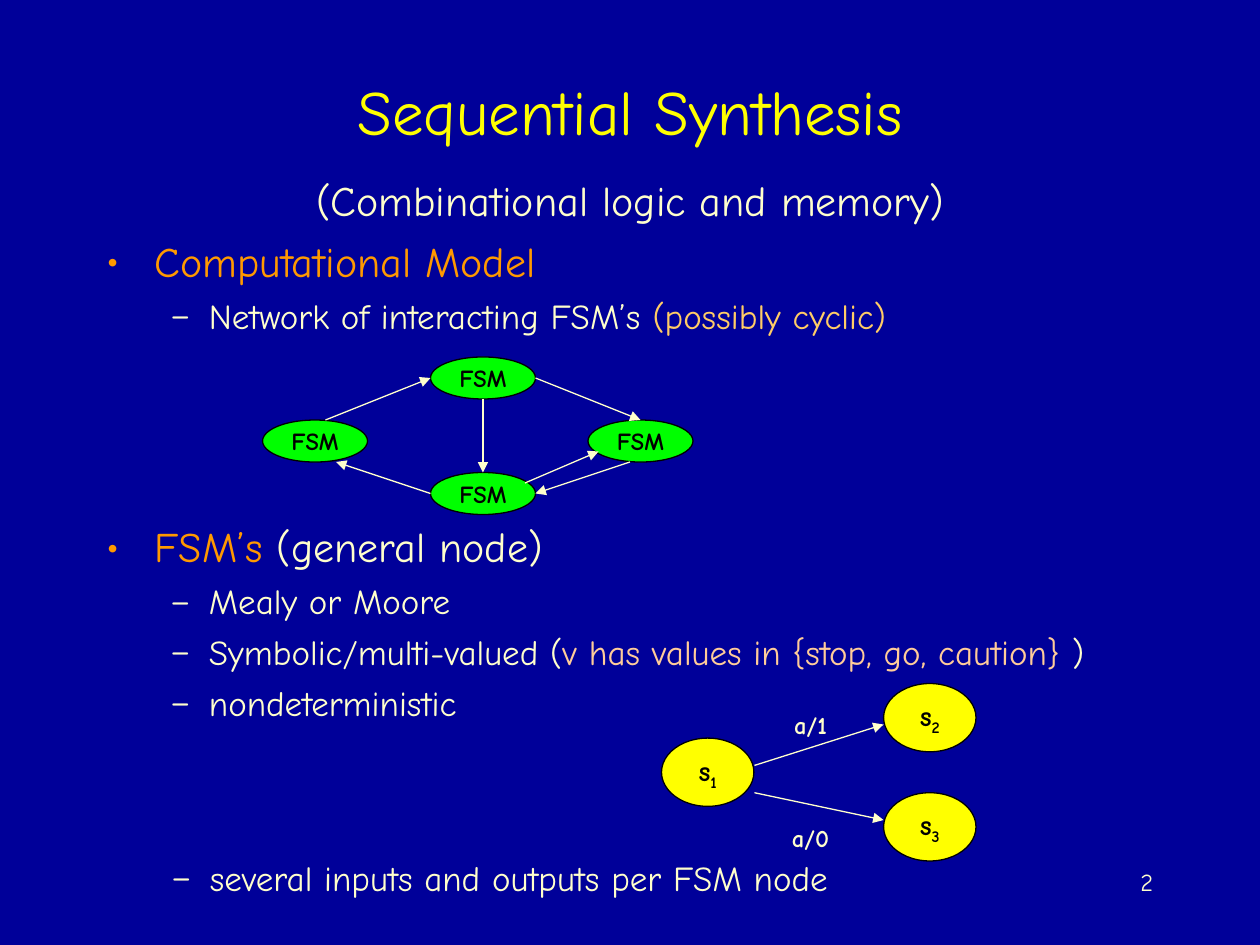
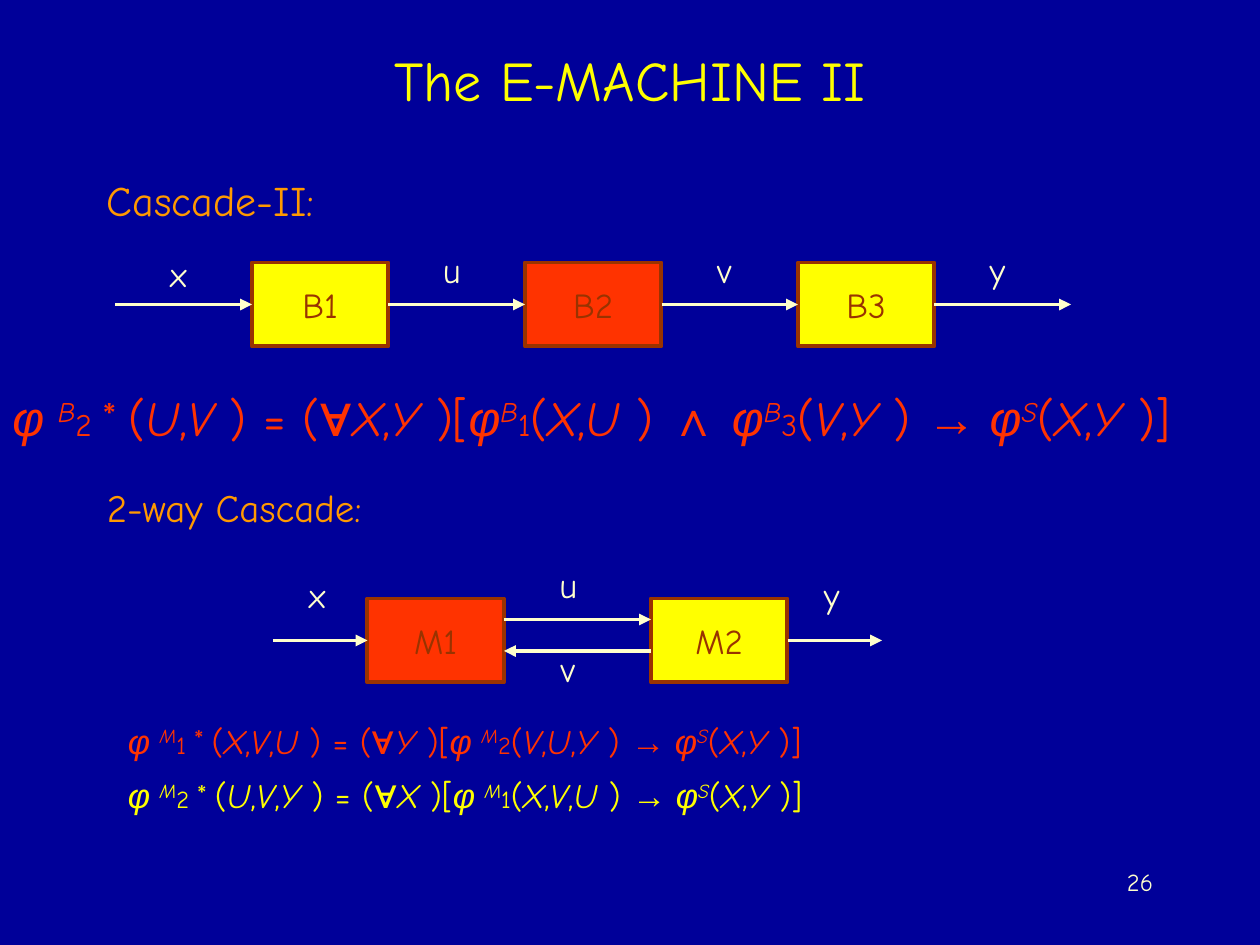
from dataclasses import dataclass
from itertools import groupby
from typing import NamedTuple, Optional, Union

from lxml.etree import SubElement
from pptx import Presentation
from pptx.dml.color import RGBColor
from pptx.enum.shapes import MSO_CONNECTOR as Connector, MSO_SHAPE as Preset
from pptx.enum.text import MSO_ANCHOR as Anchor, PP_ALIGN as Align
from pptx.oxml.ns import qn
from pptx.shapes.shapetree import GroupShapes, SlideShapes
from pptx.slide import Slide
from pptx.text.text import TextFrame
from pptx.util import Inches, Pt

NAVY = RGBColor(0x00, 0x00, 0x99)
YELLOW = RGBColor(0xFF, 0xFF, 0x00)
CREAM = RGBColor(0xFF, 0xFF, 0xCC)
ORANGE = RGBColor(0xFF, 0x99, 0x00)
GOLD = RGBColor(0xFF, 0xCC, 0x66)
PEACH = RGBColor(0xFF, 0xCC, 0x99)
RED = RGBColor(0xFF, 0x33, 0x00)
BROWN = RGBColor(0x99, 0x33, 0x00)
GREEN = RGBColor(0x00, 0xFF, 0x00)
BLACK = RGBColor(0x00, 0x00, 0x00)

TEXT_FONT = "Comic Neue"
SYMBOL_FONT = "Arial"
SYMBOLS = "φ∗∀∧→"
WIDTH, HEIGHT = Inches(10), Inches(7.5)
COLUMNS, ROWS = 120, 90

Shapes = Union[SlideShapes, GroupShapes]


class Point(NamedTuple):
    column: float
    row: float


class Box(NamedTuple):
    column: float
    row: float
    columns: float
    rows: float


@dataclass(frozen=True)
class Span:
    text: str
    size: float
    color: RGBColor = CREAM
    font: str = TEXT_FONT
    bold: bool = False
    italic: bool = False
    baseline: int = 0


@dataclass(frozen=True)
class Line:
    spans: list[Span]
    before: float = 0
    align: Align = Align.LEFT
    margin: float = 0
    hanging: float = 0
    bullet: str = ""
    bullet_color: RGBColor = CREAM
    spacing: Optional[float] = None


@dataclass(frozen=True)
class Node:
    preset: Preset
    fill: RGBColor
    outline: RGBColor
    weight: float
    columns: float
    rows: float


@dataclass(frozen=True)
class FormulaSize:
    base: float
    index: float
    star: float
    quantifier: float


FSM_NODE = Node(Preset.OVAL, GREEN, BLACK, 0.75, 10, 4)
STATE_NODE = Node(Preset.OVAL, YELLOW, BLACK, 0.75, 8.8, 6.5)
KNOWN_BLOCK = Node(Preset.RECTANGLE, YELLOW, BROWN, 2.25, 13, 8)
UNKNOWN_BLOCK = Node(Preset.RECTANGLE, RED, BROWN, 2.25, 13, 8)
LARGE_FORMULA = FormulaSize(28, 18, 36, 32)
SMALL_FORMULA = FormulaSize(19.6, 14, 25.2, 22.4)


def across(columns: float) -> int:
    return round(WIDTH * columns / COLUMNS)


def down(rows: float) -> int:
    return round(HEIGHT * rows / ROWS)


def place(box: Box) -> tuple[int, int, int, int]:
    return across(box.column), down(box.row), across(box.columns), down(box.rows)


def write(frame: TextFrame, lines: list[Line]) -> None:
    for number, line in enumerate(lines):
        paragraph = frame.add_paragraph() if number else frame.paragraphs[0]
        paragraph.alignment = line.align
        paragraph.space_before = Pt(line.before)
        if line.spacing:
            paragraph.line_spacing = line.spacing
        properties = paragraph._p.get_or_add_pPr()
        properties.set("marL", str(Inches(line.margin)))
        properties.set("indent", str(-Inches(line.hanging)))
        if line.bullet:
            color = SubElement(properties, qn("a:buClr"))
            SubElement(color, qn("a:srgbClr"), val=str(line.bullet_color))
            SubElement(properties, qn("a:buFont"), typeface=TEXT_FONT)
            SubElement(properties, qn("a:buChar"), char=line.bullet)
        for span in line.spans:
            run = paragraph.add_run()
            run.text = span.text
            run.font.name = span.font
            run.font.size = Pt(span.size)
            run.font.bold = span.bold
            run.font.italic = span.italic
            run.font.color.rgb = span.color
            if span.baseline:
                run.font._element.set("baseline", str(span.baseline * 1000))


def add_text(shapes: Shapes, box: Box, lines: list[Line],
             anchor: Anchor = Anchor.TOP, wrap: bool = True) -> None:
    frame = shapes.add_textbox(*place(box)).text_frame
    frame.word_wrap = wrap
    frame.vertical_anchor = anchor
    write(frame, lines)


def add_label(shapes: Shapes, box: Box, span: Span) -> None:
    add_text(shapes, box, [Line([span], align=Align.CENTER)], Anchor.MIDDLE, wrap=False)


def add_signal(shapes: Shapes, name: str, column: float, row: float) -> None:
    add_label(shapes, Box(column, row, 4, 5.25), Span(name, 20))


def add_node(shapes: Shapes, node: Node, corner: Point, spans: list[Span]) -> None:
    shape = shapes.add_shape(node.preset, *place(Box(*corner, node.columns, node.rows)))
    shape.shadow.inherit = False
    shape.fill.solid()
    shape.fill.fore_color.rgb = node.fill
    shape.line.color.rgb = node.outline
    shape.line.width = Pt(node.weight)
    shape.text_frame.word_wrap = False
    shape.text_frame.vertical_anchor = Anchor.MIDDLE
    write(shape.text_frame, [Line(spans, align=Align.CENTER)])


def add_block(shapes: Shapes, node: Node, corner: Point, name: str) -> None:
    add_node(shapes, node, corner, [Span(name, 20, BROWN)])


def add_arrow(shapes: Shapes, start: Point, end: Point, weight: float) -> None:
    connector = shapes.add_connector(
        Connector.STRAIGHT, across(start.column), down(start.row), across(end.column), down(end.row))
    connector.line.color.rgb = CREAM
    connector.line.width = Pt(weight)
    SubElement(connector.line._get_or_add_ln(), qn("a:tailEnd"), type="triangle")
    SubElement(connector._element.spPr, qn("a:effectLst"))


def formula(source: str, sizes: FormulaSize, color: RGBColor) -> list[Span]:
    """Reads ^ as superscript and _ as a small index; capitals are italic."""
    styled = []
    mark = ""
    for character in source:
        if character in "^_":
            mark = character
            continue
        if character == " ":
            style = styled[-1][0]
        else:
            size = {"∗": sizes.star, "∀": sizes.quantifier}.get(character, sizes.base)
            style = (
                sizes.index if mark == "_" else size,
                SYMBOL_FONT if character in SYMBOLS else TEXT_FONT,
                character == "φ" or character.isupper(),
                30 if mark == "^" or character == "∗" else 0,
            )
        styled.append((style, character))
        mark = ""
    return [
        Span("".join(character for _, character in group), size, color, font,
             italic=italic, baseline=baseline)
        for (size, font, italic, baseline), group in groupby(styled, key=lambda item: item[0])
    ]


def topic(*spans: Span) -> Line:
    return Line(list(spans), 6, margin=0.38, hanging=0.38, bullet="•", bullet_color=ORANGE)


def detail(*spans: Span) -> Line:
    return Line(list(spans), 5, margin=0.81, hanging=0.31, bullet="–")


def plain(spans: list[Span], before: float, spacing: Optional[float] = None,
          align: Align = Align.LEFT) -> Line:
    return Line(spans, before, align, 0.38, 0.38, spacing=spacing)


def start_slide(presentation: Presentation, title: str, row: float, size: float, number: int) -> Slide:
    slide = presentation.slides.add_slide(presentation.slide_layouts[6])
    slide.background.fill.solid()
    slide.background.fill.fore_color.rgb = NAVY
    heading = Line([Span(title, size, YELLOW)], align=Align.CENTER)
    add_text(slide.shapes, Box(9, row, 102, 15), [heading], Anchor.MIDDLE)
    add_text(slide.shapes, Box(86, 82, 25, 6), [Line([Span(str(number), 14)], align=Align.RIGHT)])
    return slide


def draw_fsm_network(shapes: Shapes) -> None:
    for corner in (Point(41, 34), Point(25, 40), Point(41, 45), Point(56, 40)):
        add_node(shapes, FSM_NODE, corner, [Span("FSM", 14, BLACK, bold=True)])
    for start, end in (
        (Point(31, 40), Point(41, 36)),
        (Point(41, 47), Point(32, 44)),
        (Point(51, 36), Point(61, 40)),
        (Point(50, 46), Point(57, 43)),
        (Point(60, 44), Point(51, 47)),
        (Point(46, 38), Point(46, 45)),
    ):
        add_arrow(shapes, start, end, 0.75)


def draw_state_graph(shapes: Shapes) -> None:
    corners = (Point(63, 70.3), Point(84.15, 65.1), Point(84.15, 75.5))
    for index, corner in enumerate(corners, 1):
        letter = Span("s", 16, BLACK, bold=True)
        subscript = Span(str(index), 16, BLACK, bold=True, baseline=-25)
        add_node(shapes, STATE_NODE, corner, [letter, subscript])
    for label, label_row, start_row, end_row in (("a/1", 67, 72.9, 69), ("a/0", 77.75, 75.5, 78.1)):
        add_arrow(shapes, Point(71.85, start_row), Point(84.15, end_row), 0.75)
        add_label(shapes, Box(73.2, label_row, 8, 4), Span(label, 14, bold=True))


def build_synthesis(presentation: Presentation) -> None:
    shapes = start_slide(presentation, "Sequential Synthesis", 3, 36, 2).shapes
    add_text(shapes, Box(9, 16, 102, 17), [
        plain([Span("(Combinational logic and memory)", 24)], 6, align=Align.CENTER),
        topic(Span("Computational Model", 24, ORANGE)),
        detail(Span("Network of interacting FSM’s ", 20), Span("(possibly cyclic)", 20, GOLD)),
    ])
    add_text(shapes, Box(9, 49, 102, 21), [
        topic(Span("FSM’s ", 24, ORANGE), Span("(general node)", 24)),
        detail(Span("Mealy or Moore", 20)),
        detail(Span("Symbolic/multi-valued (", 20),
               Span("v has values in {stop, go, caution}", 20, PEACH), Span(" )", 20)),
        detail(Span("nondeterministic", 20)),
    ])
    add_text(shapes, Box(9.1, 81, 102, 6), [detail(Span("several inputs and outputs per FSM node", 20))])
    draw_state_graph(shapes.add_group_shape().shapes)
    draw_fsm_network(shapes.add_group_shape().shapes)


def draw_cascade(shapes: Shapes) -> None:
    step = 26
    for index, node in enumerate((KNOWN_BLOCK, UNKNOWN_BLOCK, KNOWN_BLOCK)):
        add_block(shapes, node, Point(24 + step * index, 25), f"B{index + 1}")
    for index, (signal, row) in enumerate((("x", 23.4), ("u", 23), ("v", 23), ("y", 23))):
        start = 11 + step * index
        add_arrow(shapes, Point(start, 29), Point(start + 13, 29), 2.25)
        add_signal(shapes, signal, start + 4, row)


def draw_two_way_cascade(shapes: Shapes) -> None:
    add_block(shapes, UNKNOWN_BLOCK, Point(35, 57), "M1")
    add_block(shapes, KNOWN_BLOCK, Point(62, 57), "M2")
    for signal, start, end, row, label_column, label_row in (
        ("x", 26, 35, 61, 28.2, 54),
        ("u", 48, 62, 59, 52.1, 53),
        ("v", 62, 48, 62, 52.1, 61),
        ("y", 75, 84, 61, 77.2, 54),
    ):
        add_arrow(shapes, Point(start, row), Point(end, row), 2.25)
        add_signal(shapes, signal, label_column, label_row)


def build_e_machine(presentation: Presentation) -> None:
    shapes = start_slide(presentation, "The E-MACHINE II", 0, 32, 26).shapes
    add_text(shapes, Box(9, 16, 102, 6), [plain([Span("Cascade-II:", 24, ORANGE)], 6)])
    cascade = "φ ^B_2∗(U,V ) = (∀X,Y )[φ^B_1(X,U ) ∧ φ^B_3(V,Y ) → φ^S(X,Y )]"
    add_text(shapes, Box(0, 35, 120, 8), [plain(formula(cascade, LARGE_FORMULA, RED), 7)])
    draw_cascade(shapes)
    add_text(shapes, Box(9, 46, 102, 6), [plain([Span("2-way Cascade:", 22.2, ORANGE)], 6, 0.9)])
    add_text(shapes, Box(11, 68, 106, 12), [
        plain(formula(source, SMALL_FORMULA, color), 7, 0.8) for source, color in (
            ("φ ^M_1∗(X,V,U ) = (∀Y )[φ ^M_2(V,U,Y ) → φ^S(X,Y )]", RED),
            ("φ ^M_2∗(U,V,Y ) = (∀X )[φ ^M_1(X,V,U ) → φ^S(X,Y )]", YELLOW))
    ])
    draw_two_way_cascade(shapes)


def main() -> None:
    presentation = Presentation()
    presentation.slide_width, presentation.slide_height = WIDTH, HEIGHT
    build_synthesis(presentation)
    build_e_machine(presentation)
    presentation.save("out.pptx")


if __name__ == "__main__":
    main()
